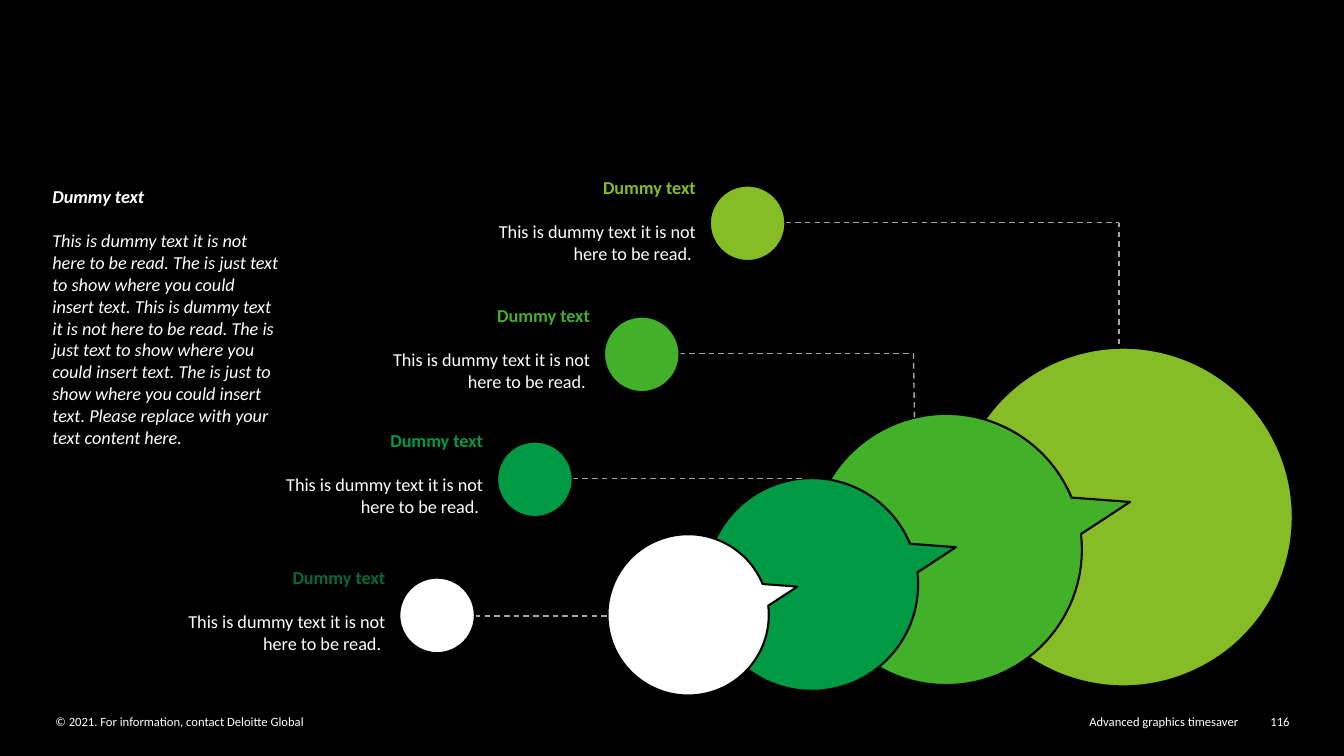
import math
from dataclasses import dataclass

import pptx
import pptx.dml.color
import pptx.enum.dml
import pptx.enum.shapes
import pptx.enum.text
import pptx.oxml
import pptx.oxml.ns
import pptx.util

ALIGN = pptx.enum.text.PP_ALIGN
ANCHOR = pptx.enum.text.MSO_ANCHOR
NS = pptx.oxml.ns.nsdecls("a")


@dataclass(frozen=True)
class Theme:
    font: str = "Calibri"
    black: str = "000000"
    white: str = "FFFFFF"
    grey: str = "A6A6A6"
    lime: str = "86BC25"
    green: str = "43B02A"
    emerald: str = "009A44"
    forest: str = "046A38"
    body: int = 13
    footer: int = 9
    gap: float = 15.8
    outline: float = 1.5
    leader: int = 1


THEME = Theme()
EMU_PER_PX = 9144
DOT = 75
TITLE = "Dummy text"
CALLOUT_TEXT = "This is dummy text it is not here to be read. "
INTRO_TEXT = (
    "This is dummy text it is not here to be read. The is just text to show "
    "where you could insert text. This is dummy text it is not here to be read. "
    "The is just text to show where you could insert text. The is just to show "
    "where you could insert text. Please replace with your text content here."
)
# dot left, dot top, text top, dot colour, title colour
CALLOUTS = [
    (493, 438, 423, THEME.emerald, THEME.emerald),
    (599, 314, 299, THEME.green, THEME.green),
    (704, 184, 172, THEME.lime, THEME.lime),
    (396, 573, 559, THEME.white, THEME.forest),
]
# start x, start y, end x, end y
BACK_LEADERS = [(779, 221, 1110, 221), (1110, 351, 1110, 221)]
FRONT_LEADERS = [
    (471, 611, 603, 611),
    (568, 475, 795, 475),
    (674, 351, 906, 351),
    (907, 414, 906, 351),
]
# left, top, diameter, rotation in degrees, colour
BUBBLES = [
    (916, 326, 336, 244.1, THEME.lime),
    (830, 377, 269, 75.5, THEME.green),
    (720, 448, 211, 75.5, THEME.emerald),
    (618, 510, 160, 75.5, THEME.white),
]
# left, width, alignment, text
FOOTERS = [
    (55, 586, ALIGN.LEFT, "© 2021. For information, contact Deloitte Global"),
    (693, 535, ALIGN.RIGHT, "Advanced graphics timesaver"),
    (1245, 34, ALIGN.RIGHT, "116"),
]


def px(n):
    return pptx.util.Emu(round(n * EMU_PER_PX))


def rgb(value):
    return pptx.dml.color.RGBColor.from_string(value)


def set_all(obj, values):
    for name, value in values.items():
        setattr(obj, name, value)


def paint(sp, color):
    sp.shadow.inherit = False
    sp.fill.solid()
    sp.fill.fore_color.rgb = rgb(color)
    sp.line.color.rgb = rgb(THEME.black)
    sp.line.width = pptx.util.Pt(THEME.outline)


def add_text(s, box, paragraphs, align=ALIGN.LEFT, anchor=ANCHOR.TOP, inset=(5, 3)):
    """Paragraphs are pairs of text and font values; a blank line's height parts them."""
    tf = s.shapes.add_textbox(*map(px, box)).text_frame
    side, edge = map(px, inset)
    set_all(tf, {
        "word_wrap": True, "vertical_anchor": anchor,
        "auto_size": pptx.enum.text.MSO_AUTO_SIZE.SHAPE_TO_FIT_TEXT,
        "margin_left": side, "margin_right": side,
        "margin_top": edge, "margin_bottom": edge,
    })
    for i, (text, font) in enumerate(paragraphs):
        p = tf.add_paragraph() if i else tf.paragraphs[0]
        p.alignment = align
        if i:
            p.space_before = pptx.util.Pt(THEME.gap)
        r = p.add_run()
        r.text = text
        values = {"name": THEME.font, "size": THEME.body, "color": THEME.white} | font
        r.font.color.rgb = rgb(values.pop("color"))
        values["size"] = pptx.util.Pt(values["size"])
        set_all(r.font, values)


def add_leader(s, ends):
    leader = s.shapes.add_connector(
        pptx.enum.shapes.MSO_CONNECTOR.STRAIGHT, *map(px, ends))
    leader.line.color.rgb = rgb(THEME.grey)
    set_all(leader.line, {
        "width": pptx.util.Pt(THEME.leader),
        "dash_style": pptx.enum.dml.MSO_LINE.DASH,
    })
    leader._element.spPr.append(pptx.oxml.parse_xml(f"<a:effectLst {NS}/>"))


def add_bubble(s, left, top, diameter, turn, color):
    """Draw a circle of four curves with a tail on top, then turn it."""
    radius = diameter / 2

    def at(angle, reach=1.0, slide=0.0):
        """Point at an angle, moved along the tangent by slide radii."""
        a = math.radians(angle)
        return (px(radius * (1 + reach * math.cos(a) - slide * math.sin(a))),
                px(radius * (1.4 + reach * math.sin(a) + slide * math.cos(a))))

    angles = [-82, 0, 90, 180, 262]
    outline = [at(angle) for angle in angles] + [at(-90, 1.4)]
    builder = s.shapes.build_freeform(*outline[0])
    builder.add_line_segments(outline[1:], close=True)
    sp = builder.convert_to_shape(px(left), px(top))
    sides = sp._element.xpath(".//a:lnTo")
    for side, start, end in zip(sides, angles, angles[1:]):
        pull = 4 / 3 * math.tan(math.radians(end - start) / 4)
        handles = [at(start, slide=pull), at(end, slide=-pull)]
        points = "".join(f'<a:pt x="{x}" y="{y}"/>' for x, y in handles)
        curve = pptx.oxml.parse_xml(f"<a:cubicBezTo {NS}>{points}</a:cubicBezTo>")
        side.addprevious(curve)
        curve.append(side[0])
        side.getparent().remove(side)
    sp.rotation = turn
    paint(sp, color)


def add_callout(s, left, top, text_top, color, title_color):
    dot = s.shapes.add_shape(
        pptx.enum.shapes.MSO_SHAPE.OVAL, *map(px, (left, top, DOT, DOT)))
    paint(dot, color)
    add_text(s, (left - 239, text_top, 230, 93),
             [(TITLE, {"bold": True, "color": title_color}), (CALLOUT_TEXT, {})],
             ALIGN.RIGHT, ANCHOR.MIDDLE)


def main():
    prs = pptx.Presentation()
    set_all(prs, {"slide_width": px(1333), "slide_height": px(750)})
    s = prs.slides.add_slide(prs.slide_layouts[6])
    s.background.fill.solid()
    s.background.fill.fore_color.rgb = rgb(THEME.black)

    for left, width, align, text in FOOTERS:
        add_text(s, (left, 708, width, 15), [(text, {"size": THEME.footer})],
                 align, inset=(0, 0))
    for leader in BACK_LEADERS:
        add_leader(s, leader)
    for bubble in BUBBLES:
        add_bubble(s, *bubble)
    for leader in FRONT_LEADERS:
        add_leader(s, leader)
    for callout in CALLOUTS:
        add_callout(s, *callout)
    add_text(s, (47, 181, 234, 268),
             [(TITLE, {"bold": True, "italic": True}), (INTRO_TEXT, {"italic": True})])
    prs.save("out.pptx")


if __name__ == "__main__":
    main()
